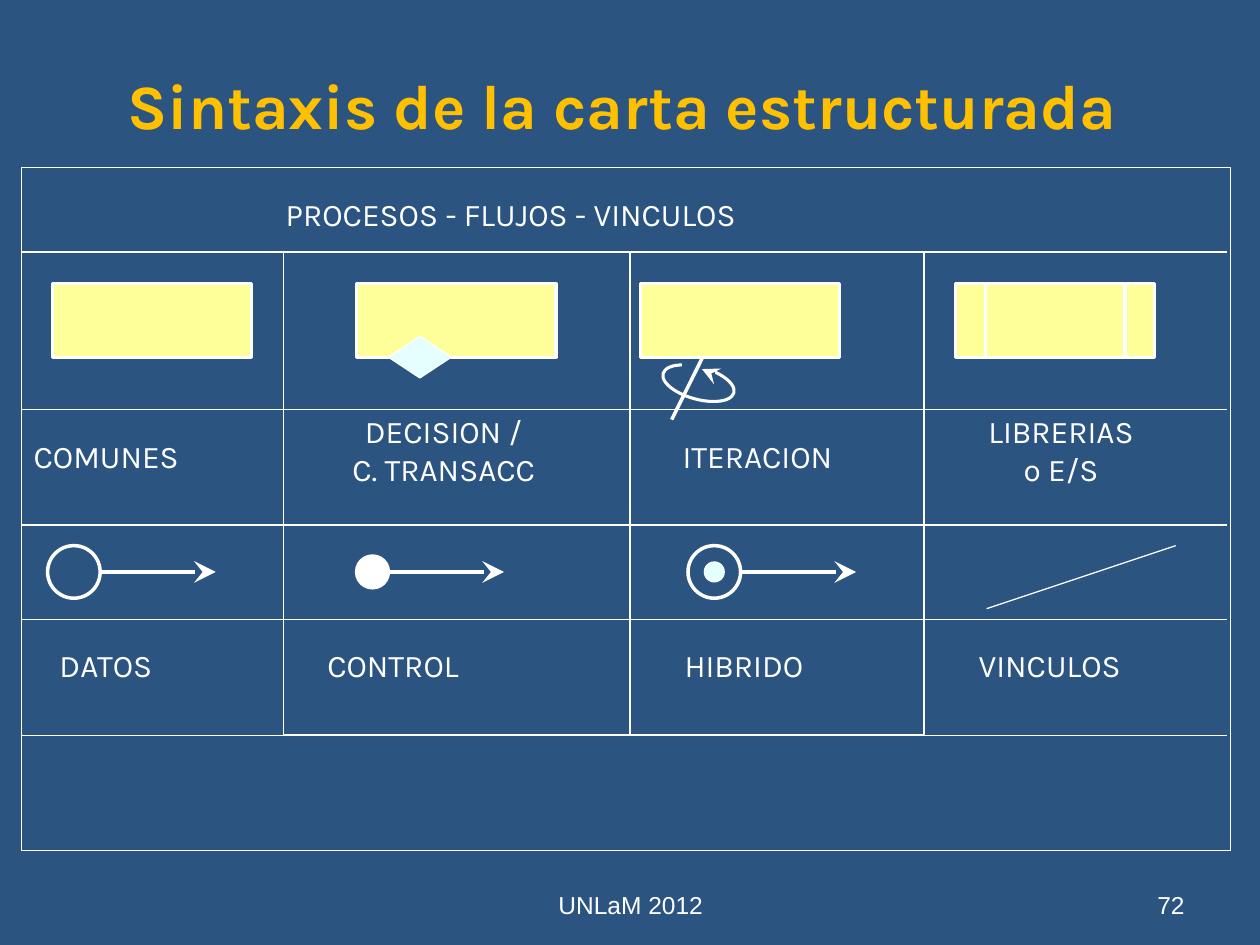
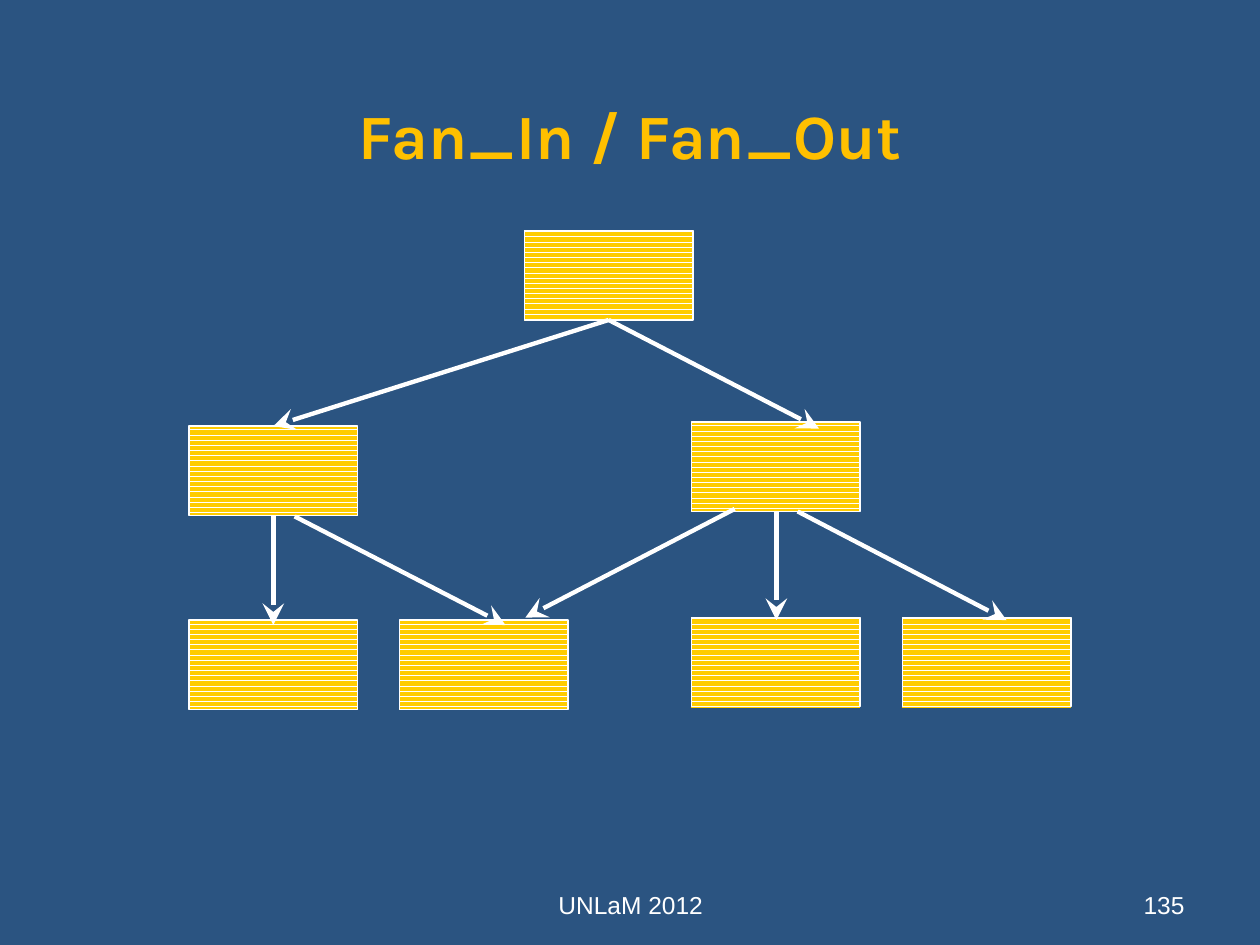
from lxml import etree
from pptx import Presentation
from pptx.dml.color import RGBColor
from pptx.enum.dml import MSO_PATTERN
from pptx.enum.shapes import MSO_CONNECTOR, MSO_SHAPE
from pptx.enum.text import MSO_ANCHOR, PP_ALIGN
from pptx.oxml.ns import qn
from pptx.util import Cm, Pt

RECT, OVAL = MSO_SHAPE.RECTANGLE, MSO_SHAPE.OVAL
GEM = MSO_SHAPE.FLOWCHART_DECISION
LINE = MSO_CONNECTOR.STRAIGHT
BARS = MSO_PATTERN.DARK_HORIZONTAL
LEFT, MID, RIGHT = PP_ALIGN.LEFT, PP_ALIGN.CENTER, PP_ALIGN.RIGHT
TOP, CENTER, BASE = MSO_ANCHOR.TOP, MSO_ANCHOR.MIDDLE, MSO_ANCHOR.BOTTOM

HUES = {"back": "2B5481", "white": "FFFFFF", "gold": "FFC000",
        "amber": "FFCC00", "cream": "FFFF99", "ice": "E5FFFF"}
FONTS = {
    "title": {"name": "Karla", "size": Pt(36), "bold": True},
    "label": {"name": "Karla", "size": Pt(18), "bold": False},
    "foot": {"name": "Arial", "size": Pt(14), "bold": False},
}


def hue(name):
    """Return the named colour."""
    return RGBColor.from_string(HUES[name])


class Deck:
    """Hold the style and the current slide."""

    def __init__(self):
        """Start the deck with its size and background."""
        self.prs = Presentation()
        self.prs.slide_width, self.prs.slide_height = Cm(25.4), Cm(19.05)
        fill = self.prs.slide_master.background.fill
        fill.solid()
        fill.fore_color.rgb = hue("back")

    def page(self, title, num, left, high):
        """Add a slide with its title and footers."""
        self.slide = self.prs.slides.add_slide(self.prs.slide_layouts[5])
        head = self.slide.shapes.title
        place = {"left": left, "top": 1.07, "width": 22.86, "height": high}
        for key, val in place.items():
            setattr(head, key, Cm(val))
        self.label(head, [title], "title", "gold", MID, CENTER)
        self.text([num], (18.21, 17.35, 5.92, 1.32), "foot", RIGHT, BASE)
        self.text(["UNLaM 2012"], (8.69, 17.35, 8.05, 1.32), "foot", MID, BASE)

    def label(self, box, lines, font, tint, align, anchor):
        """Fill a text frame with formatted lines."""
        frame = box.text_frame
        frame.word_wrap = True
        frame.vertical_anchor = anchor
        frame.text = "\n".join(lines)
        for para in frame.paragraphs:
            para.alignment = align
            for run in para.runs:
                for key, val in FONTS[font].items():
                    setattr(run.font, key, val)
                run.font.color.rgb = hue(tint)

    def text(self, lines, area, font="label", align=LEFT, anchor=TOP):
        """Add a text box."""
        box = self.slide.shapes.add_textbox(*map(Cm, area))
        self.label(box, lines, font, "white", align, anchor)

    def shape(self, kind, area, fill=None, edge="white", wide=0.75):
        """Add a preset shape, hollow unless a fill is given."""
        item = self.slide.shapes.add_shape(kind, *map(Cm, area))
        item.shadow.inherit = False
        if fill:
            item.fill.solid()
            item.fill.fore_color.rgb = hue(fill)
        else:
            item.fill.background()
        item.line.color.rgb = hue(edge)
        item.line.width = Pt(wide)
        return item

    def disc(self, x, y, r, fill=None, wide=2):
        """Add a circle round a centre."""
        self.shape(OVAL, (x - r, y - r, 2 * r, 2 * r), fill, wide=wide)

    def striped(self, x, y):
        """Add a module box with striped fill."""
        item = self.shape(RECT, (x, y, 3.4, 1.8))
        item.fill.patterned()
        item.fill.pattern = BARS
        item.fill.fore_color.rgb = hue("amber")
        item.fill.back_color.rgb = hue("white")

    def line(self, ends, wide=0.75, arrow=False):
        """Add a straight line, with an arrowhead on request."""
        item = self.slide.shapes.add_connector(LINE, *map(Cm, ends))
        item.line.color.rgb = hue("white")
        item.line.width = Pt(wide)
        props = item._element.spPr
        if arrow:
            etree.SubElement(props.find(qn("a:ln")), qn("a:tailEnd"),
                             type="stealth", w="lg", len="lg")
        etree.SubElement(props, qn("a:effectLst"))


def syntax(deck):
    """Build the table of symbols."""
    deck.page("Sintaxis de la carta estructurada", "72", 1.11, 2.06)
    deck.shape(RECT, (0.43, 3.38, 24.38, 13.77))
    for x, wide in ((5.72, 6.98), (12.7, 5.93)):
        deck.shape(RECT, (x, 5.08, wide, 9.73))
    for y, wide in ((5.08, 0.75), (8.26, 0.75), (10.58, 1.5),
                    (12.49, 0.75), (14.82, 0.75)):
        deck.line((0.43, y, 24.74, y), wide)

    deck.shape(OVAL, (13.34, 7.4, 1.48, 0.65), wide=1.75).rotation = 15.3
    deck.shape(RECT, (13.77, 7.2, 0.64, 0.42), "back", "back")
    deck.line((14.43, 7.57, 14.15, 7.44), 1.75, True)
    deck.line((14.17, 7.19, 13.54, 8.46), 2)
    for x in (1.06, 7.19, 12.91, 19.26):
        deck.shape(RECT, (x, 5.72, 4.02, 1.48), "cream", wide=1.75)
    deck.shape(RECT, (19.86, 5.72, 2.82, 1.48), "cream", wide=1.75)
    deck.shape(GEM, (7.83, 6.78, 1.27, 0.84), "ice")

    mid = 11.53
    for x, r, fill in ((1.49, 0.53, None), (7.51, 0.32, "white"),
                       (14.4, 0.53, None)):
        deck.disc(x, mid, r, fill)
        deck.line((x + r, mid, x + r + 2.33, mid), 2.5, True)
    deck.disc(14.4, mid, 0.2, "ice", 0.75)
    deck.line((23.7, 11, 19.89, 12.27))

    for word, x, y, wide in (
            ("PROCESOS - FLUJOS - VINCULOS", 5.51, 3.81, 14.38),
            ("COMUNES", 0.43, 8.69, 4.85), ("ITERACION", 13.51, 8.69, 5.13),
            ("DATOS", 0.95, 12.9, 3.43), ("CONTROL", 6.35, 12.9, 4.65),
            ("HIBRIDO", 13.55, 12.9, 4.04), ("VINCULOS", 19.48, 12.9, 4.85)):
        deck.text([word], (x, y, wide, 1.27))
    deck.text(["DECISION /", "C. TRANSACC"], (5.82, 8.18, 6.25, 2.29), align=MID)
    deck.text(["LIBRERIAS", "o E/S"], (18.8, 8.18, 5.18, 2.29), align=MID)


def fans(deck):
    """Build the tree of modules."""
    deck.page("Fan_In / Fan_Out", "135", 1.27, 3.28)
    for x, y in ((10.57, 4.65), (3.81, 8.59), (13.94, 8.51), (3.81, 12.5),
                 (8.05, 12.5), (13.94, 12.45), (18.19, 12.45)):
        deck.striped(x, y)
    for ends in ((12.27, 6.45, 5.51, 8.59), (12.27, 6.45, 16.51, 8.64),
                 (5.51, 10.41, 5.51, 12.6), (5.94, 10.41, 10.19, 12.6),
                 (14.81, 10.26, 10.59, 12.45), (15.65, 10.31, 15.65, 12.5),
                 (16.08, 10.31, 20.29, 12.5)):
        deck.line(ends, 2.5, True)


def main():
    """Build and save the deck."""
    deck = Deck()
    syntax(deck)
    fans(deck)
    deck.prs.save("out.pptx")


if __name__ == "__main__":
    main()
